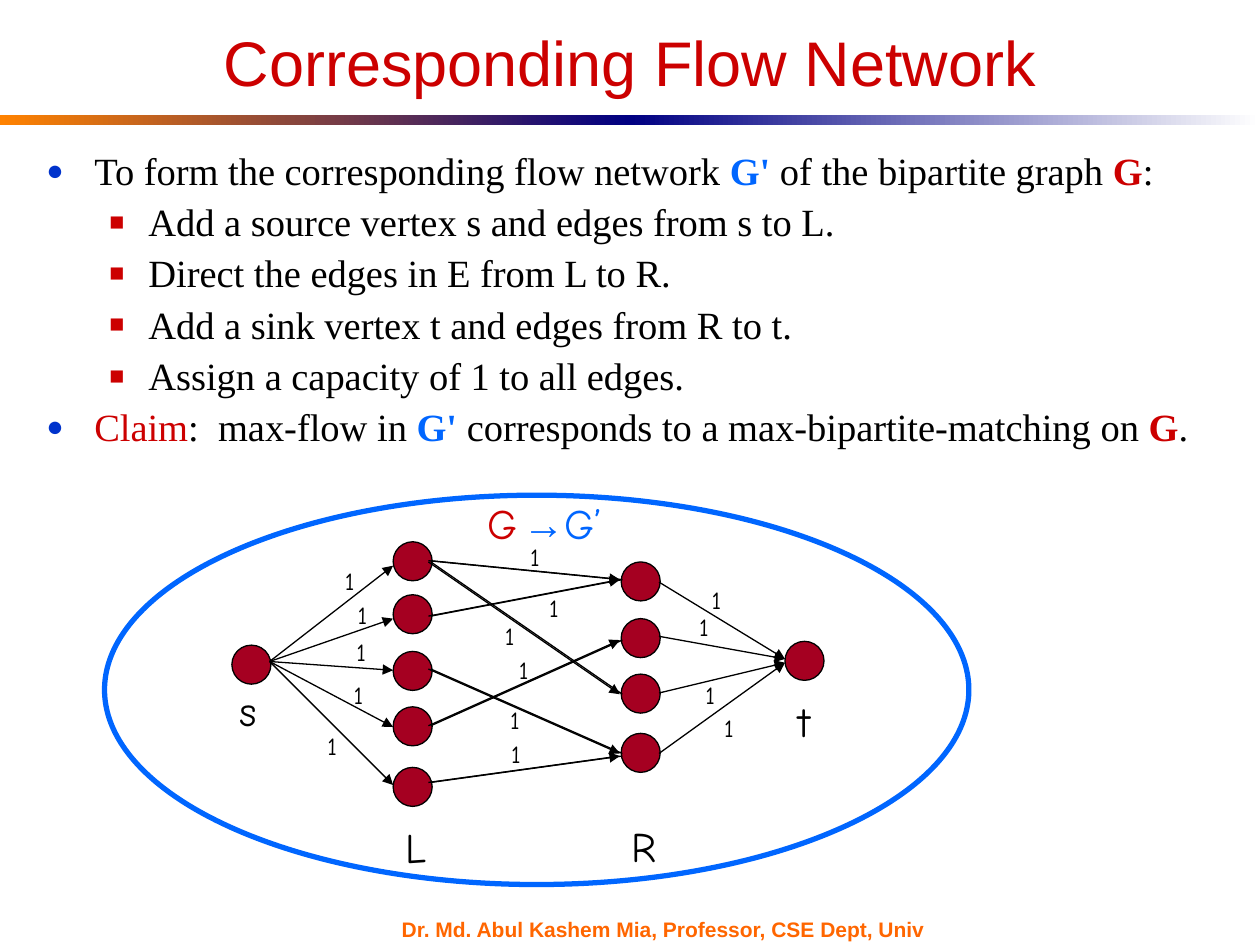
from lxml.etree import SubElement
from pptx import Presentation
from pptx.dml.color import RGBColor
from pptx.enum.shapes import MSO_CONNECTOR as CONN, MSO_SHAPE as SHAPE
from pptx.enum.text import MSO_ANCHOR as ANCHOR, MSO_AUTO_SIZE as AUTO, PP_ALIGN as ALIGN
from pptx.oxml.ns import qn
from pptx.util import Inches, Pt

RED, BLUE, BLACK, NODE = "CC0000", "0066FF", "000000", "A50021"
NODE_SIZE = 0.31
LEFT_X, RIGHT_X = 3.12, 4.93
LEFT_Y = [4.3, 4.72, 5.17, 5.61, 6.09]
RIGHT_Y = [4.46, 4.91, 5.35, 5.82]
MATCH_EDGES = [
    (4.45, 4.6), (4.46, 5.51), (5.76, 5.08),
    (6.21, 6), (4.89, 4.6), (5.31, 5.98),
]
SOURCE_END_Y = [4.49, 4.91, 5.32, 5.77, 6.23]
SINK_EDGES = [(4.62, 5.23), (5.05, 5.23), (5.5, 5.26), (5.98, 5.26)]
CAPACITIES = [
    (2.64, 4.44), (2.74, 4.71), (2.73, 5.01), (2.71, 5.35), (2.5, 5.75),
    (4.11, 4.25), (4.26, 4.66), (3.91, 4.88), (4.02, 5.15), (3.95, 5.55),
    (3.96, 5.82), (5.65, 5.61), (5.5, 5.35), (5.45, 4.81), (5.55, 4.59),
]
BODY = [
    (0, [("To form the corresponding flow network ", BLACK), ("G'", BLUE),
         (" of the bipartite graph ", BLACK), ("G", RED), (":", BLACK)]),
    (1, [("Add a source vertex s and edges from s to L.", BLACK)]),
    (1, [("Direct the edges in E from L to R.", BLACK)]),
    (1, [("Add a sink vertex t and edges from R to t.", BLACK)]),
    (1, [("Assign a capacity of 1 to all edges.", BLACK)]),
    (0, [("Claim", RED), (":  max-flow in ", BLACK), ("G'", BLUE),
         (" corresponds to a max-bipartite-matching on ", BLACK),
         ("G", RED), (".", BLACK)]),
]
BULLETS = [
    ("●", "0033CC", 75, 0.38, 0.38),
    ("■", RED, 65, 0.81, 0.31),
]


def rgb(color):
    return RGBColor.from_string(color)


def add_run(p, text, size=24, font="Comic Neue", color=BLACK, bold=False):
    r = p.add_run()
    r.text = text
    r.font.size = Pt(size)
    r.font.name = font
    r.font.color.rgb = rgb(color)
    r.font.bold = bold


def set_bullet(p, char, color, percent, margin, hanging):
    pPr = p._p.get_or_add_pPr()
    pPr.set("marL", str(Inches(margin)))
    pPr.set("indent", str(-Inches(hanging)))
    SubElement(SubElement(pPr, qn("a:buClr")), qn("a:srgbClr"), val=color)
    SubElement(pPr, qn("a:buSzPct"), val=str(percent * 1000))
    SubElement(pPr, qn("a:buFont"), typeface="Arial")
    SubElement(pPr, qn("a:buChar"), char=char)


class Diagram:
    def __init__(self, s):
        self.s = s

    def title(self, text, x, y, w, h):
        sp = self.s.shapes.title
        sp.left, sp.top, sp.width, sp.height = map(Inches, (x, y, w, h))
        tf = sp.text_frame
        tf.auto_size = AUTO.NONE
        tf.vertical_anchor = ANCHOR.MIDDLE
        p = tf.paragraphs[0]
        p.alignment = ALIGN.CENTER
        add_run(p, text, size=36, font="Arial", color=RED)

    def text_frame(self, x, y, w, h, wrap=True):
        tf = self.s.shapes.add_textbox(*map(Inches, (x, y, w, h))).text_frame
        tf.word_wrap = wrap
        return tf

    def footer(self, text, x, y, w, h):
        tf = self.text_frame(x, y, w, h)
        tf.vertical_anchor = ANCHOR.MIDDLE
        add_run(tf.paragraphs[0], text, size=12, font="Arial", color="FF6600", bold=True)

    def body(self, items, x, y, w, h):
        tf = self.text_frame(x, y, w, h)
        for i, (level, runs) in enumerate(items):
            p = tf.add_paragraph() if i else tf.paragraphs[0]
            p.level = level
            p.line_spacing = 0.9
            p.space_before = Pt(5.5)
            set_bullet(p, *BULLETS[level])
            for text, color in runs:
                add_run(p, text, size=22, font="Times New Roman", color=color,
                        bold=text in ("G", "G'"))

    def label(self, text, x, y, w, h=0.5, arrow="", **fmt):
        tf = self.text_frame(x, y, w, h, wrap=False)
        tf.auto_size = AUTO.SHAPE_TO_FIT_TEXT
        p = tf.paragraphs[0]
        p.alignment = ALIGN.RIGHT
        if arrow:
            add_run(p, arrow, **{**fmt, "font": "Arial"})
        add_run(p, text, **fmt)

    def gradient_bar(self, x, y, w, h, colors):
        sp = self.s.shapes.add_shape(SHAPE.RECTANGLE, *map(Inches, (x, y, w, h)))
        sp.shadow.inherit = False
        sp.line.fill.background()
        sp.fill.gradient()
        sp.fill.gradient_angle = 0
        for stop, color in zip(sp.fill.gradient_stops, colors):
            stop.color.rgb = rgb(color)

    def ellipse(self, x, y, w=NODE_SIZE, h=NODE_SIZE, fill=NODE, line=BLACK, width=0.75):
        sp = self.s.shapes.add_shape(SHAPE.OVAL, *map(Inches, (x, y, w, h)))
        sp.shadow.inherit = False
        if fill:
            sp.fill.solid()
            sp.fill.fore_color.rgb = rgb(fill)
        else:
            sp.fill.background()
        sp.line.color.rgb = rgb(line)
        sp.line.width = Pt(width)

    def edge(self, x1, y1, x2, y2, arrow=True):
        c = self.s.shapes.add_connector(CONN.STRAIGHT, *map(Inches, (x1, y1, x2, y2)))
        c.line.color.rgb = rgb(BLACK)
        c.line.width = Pt(0.75)
        if arrow:
            SubElement(c.line._get_or_add_ln(), qn("a:tailEnd"), type="triangle")
        SubElement(c._element.spPr, qn("a:effectLst"))


def main():
    prs = Presentation()
    prs.slide_width, prs.slide_height = Inches(10), Inches(7.5)
    d = Diagram(prs.slides.add_slide(prs.slide_layouts[5]))

    d.gradient_bar(0, 0.91, 5, 0.08, ("FF8200", "000082"))
    d.gradient_bar(5, 0.91, 5, 0.08, ("000082", "FFFFFF"))
    d.footer("Dr. Md. Abul Kashem Mia, Professor, CSE Dept, Univ", 3.09, 7.28, 4.67, 0.18)
    d.title("Corresponding Flow Network", 0.5, 0.21, 9, 0.55)
    d.body(BODY, 0.27, 1.16, 9.4, 2.63)

    for x, tops in ((LEFT_X, LEFT_Y), (RIGHT_X, RIGHT_Y), (1.84, [5.12]), (6.23, [5.09])):
        for y in tops:
            d.ellipse(x, y)

    for shift, arrow in ((0, False), (-0.02, True)):
        for y1, y2 in MATCH_EDGES:
            d.edge(3.42 + shift, y1, 4.94 + shift, y2, arrow)
    for y in SOURCE_END_Y:
        d.edge(2.14, 5.25, LEFT_X, y)
    for y1, y2 in SINK_EDGES:
        d.edge(5.23, y1, 6.23, y2)

    d.label("s", 1.8, 5.38, 0.34)
    d.label("L", 3.12, 6.47, 0.36)
    d.label("R", 4.91, 6.46, 0.4)
    d.label("t", 6.24, 5.47, 0.29)
    d.label("G", 3.77, 3.9, 0.44, color=RED)
    d.ellipse(0.83, 3.93, 6.86, 3.09, fill=None, line=BLUE, width=3)
    d.label("G’", 3.98, 3.9, 0.9, arrow="→", color=BLUE)
    for x, y in CAPACITIES:
        d.label("1", x, y, 0.27, 0.34, size=14)

    prs.save("out.pptx")


if __name__ == "__main__":
    main()
